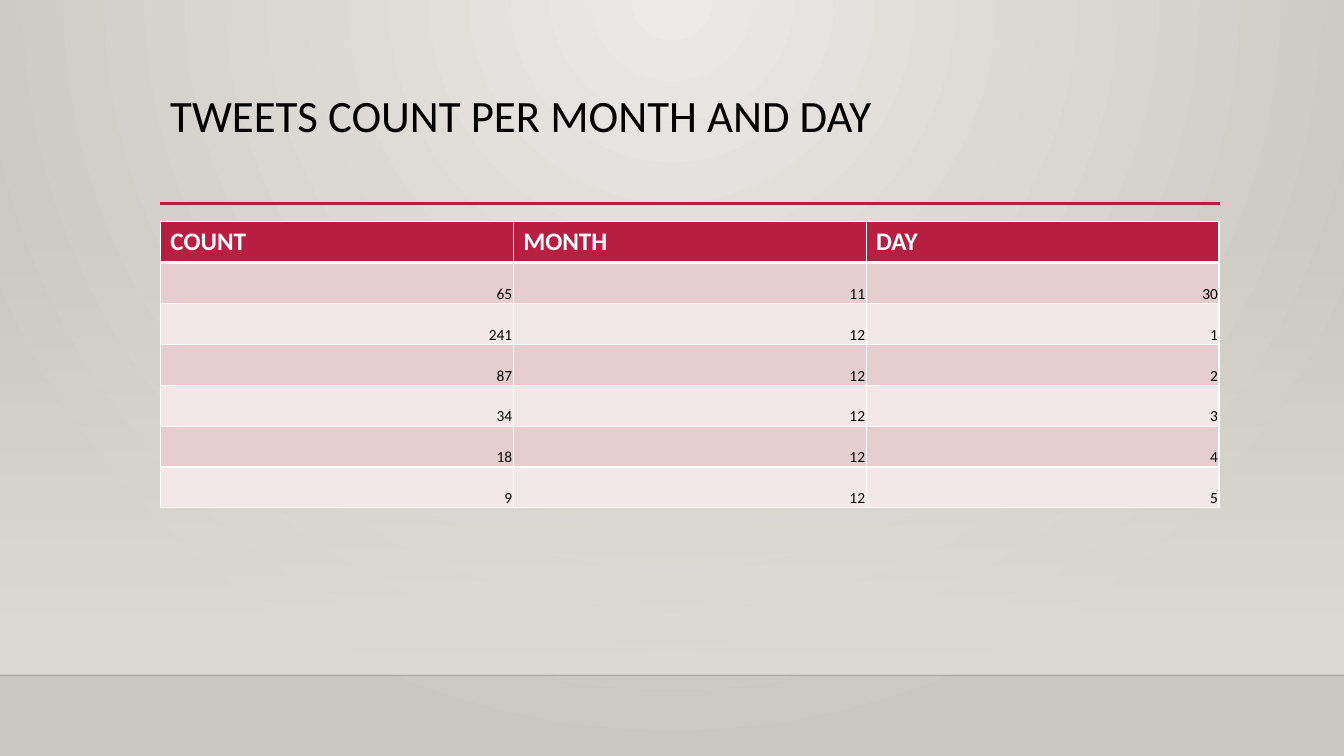
from dataclasses import dataclass

from lxml.etree import SubElement
from pptx import Presentation
from pptx.dml.color import RGBColor
from pptx.enum.shapes import MSO_CONNECTOR, MSO_SHAPE
from pptx.enum.text import MSO_ANCHOR, PP_ALIGN
from pptx.oxml import parse_xml
from pptx.oxml.ns import nsdecls, qn
from pptx.util import Inches, Pt

FONT = "Calibri"
RED = RGBColor(0xB7, 0x1E, 0x42)
ROSE = RGBColor(0xE6, 0xCD, 0xCF)
BLUSH = RGBColor(0xF3, 0xE8, 0xE9)
WHITE = RGBColor(0xFF, 0xFF, 0xFF)
BLACK = RGBColor(0x00, 0x00, 0x00)
INK = RGBColor(0x00, 0x00, 0x01)
LIGHT = RGBColor(0xEC, 0xEA, 0xE7)
STONE = RGBColor(0xCA, 0xC7, 0xC1)
SAND = RGBColor(0xDF, 0xDB, 0xD5)

WIDE, HIGH = 13.33, 7.5
LEFT, SPAN = 1.59, 10.5
FLOOR = 6.7
HEADS = ("COUNT", "MONTH", "DAY")
DATA = ((65, 11, 30), (241, 12, 1), (87, 12, 2), (34, 12, 3), (18, 12, 4), (9, 12, 5))
ROW = 2.84 / (len(DATA) + 1)


@dataclass
class Rule:
    left: float
    right: float
    top: float
    color: RGBColor
    width: float
    alpha: int = 100


@dataclass
class Style:
    size: int
    color: RGBColor
    bold: bool = False
    align: PP_ALIGN = PP_ALIGN.LEFT


TITLE = Style(32, BLACK)
HEAD = Style(18, WHITE, True)
BODY = Style(11, BLACK, False, PP_ALIGN.RIGHT)
RULES = (
    Rule(0, WIDE, FLOOR, INK, 1, 20),
    Rule(LEFT, 12.1, 2.02, RED, 2.5),
)


def set_grad(holder, first: RGBColor, last: RGBColor, alpha: int, shade: str) -> None:
    fill = parse_xml(
        f'<a:gradFill {nsdecls("a")} rotWithShape="1"><a:gsLst>'
        f'<a:gs pos="0"><a:srgbClr val="{first}"><a:alpha val="{alpha * 1000}"/></a:srgbClr></a:gs>'
        f'<a:gs pos="100000"><a:srgbClr val="{last}"/></a:gs>'
        f"</a:gsLst>{shade}</a:gradFill>"
    )
    holder.replace(holder.find(qn("a:solidFill")), fill)


def write(frame, text: str, style: Style) -> None:
    frame.text = text
    line = frame.paragraphs[0]
    line.alignment = style.align
    font = line.runs[0].font
    font.name, font.size, font.bold = FONT, Pt(style.size), style.bold
    font.color.rgb = style.color


def draw_back(slide) -> None:
    slide.background.fill.solid()
    set_grad(
        slide.element.find(".//" + qn("p:bgPr")), LIGHT, STONE, 100,
        '<a:path path="circle"><a:fillToRect l="43000" r="43000" b="100000"/></a:path>',
    )
    wall = slide.shapes.add_shape(
        MSO_SHAPE.RECTANGLE, 0, Inches(2.21), Inches(WIDE), Inches(FLOOR - 2.21)
    )
    wall.shadow.inherit = False
    wall.line.fill.background()
    wall.fill.solid()
    set_grad(wall.element.spPr, SAND, SAND, 0, '<a:lin ang="5400000" scaled="0"/>')


def draw_rule(slide, rule: Rule) -> None:
    top = Inches(rule.top)
    line = slide.shapes.add_connector(
        MSO_CONNECTOR.STRAIGHT, Inches(rule.left), top, Inches(rule.right), top
    )
    line.line.color.rgb = rule.color
    line.line.width = Pt(rule.width)
    props = line.element.spPr
    SubElement(props, qn("a:effectLst"))
    if rule.alpha < 100:
        tone = props.find(".//" + qn("a:srgbClr"))
        SubElement(tone, qn("a:alpha")).set("val", str(rule.alpha * 1000))


def draw_title(slide) -> None:
    box = slide.shapes.add_textbox(Inches(LEFT), Inches(0.88), Inches(SPAN), Inches(1.15))
    box.text_frame.word_wrap = True
    write(box.text_frame, "TWEETS COUNT PER MONTH AND DAY", TITLE)
    box.text_frame.paragraphs[0].line_spacing = 0.9


def edge(cell, base: float) -> None:
    props = cell._tc.get_or_add_tcPr()
    for place, side in enumerate("LRTB"):
        width = Pt(base if side == "B" else 1)
        props.insert(place, parse_xml(
            f'<a:ln{side} {nsdecls("a")} w="{width}"><a:solidFill>'
            f'<a:srgbClr val="{WHITE}"/></a:solidFill></a:ln{side}>'
        ))


def fill_cell(cell, text: str, row: int) -> None:
    cell.fill.solid()
    if row == 0:
        cell.fill.fore_color.rgb = RED
        write(cell.text_frame, text, HEAD)
    else:
        cell.fill.fore_color.rgb = ROSE if row % 2 else BLUSH
        cell.vertical_anchor = MSO_ANCHOR.BOTTOM
        cell.margin_left = cell.margin_right = cell.margin_top = Inches(0.01)
        cell.margin_bottom = 0
        write(cell.text_frame, text, BODY)
    edge(cell, 1 if row else 3)


def draw_table(slide) -> None:
    rows = (HEADS, *DATA)
    table = slide.shapes.add_table(
        len(rows), len(HEADS), Inches(LEFT), Inches(2.2), Inches(SPAN), Inches(ROW * len(rows))
    ).table
    for row, items in enumerate(rows):
        for col, item in enumerate(items):
            fill_cell(table.cell(row, col), str(item), row)


def main() -> None:
    deck = Presentation()
    deck.slide_width, deck.slide_height = Inches(WIDE), Inches(HIGH)
    slide = deck.slides.add_slide(deck.slide_layouts[6])
    draw_back(slide)
    for rule in RULES:
        draw_rule(slide, rule)
    draw_title(slide)
    draw_table(slide)
    deck.save("out.pptx")


if __name__ == "__main__":
    main()
